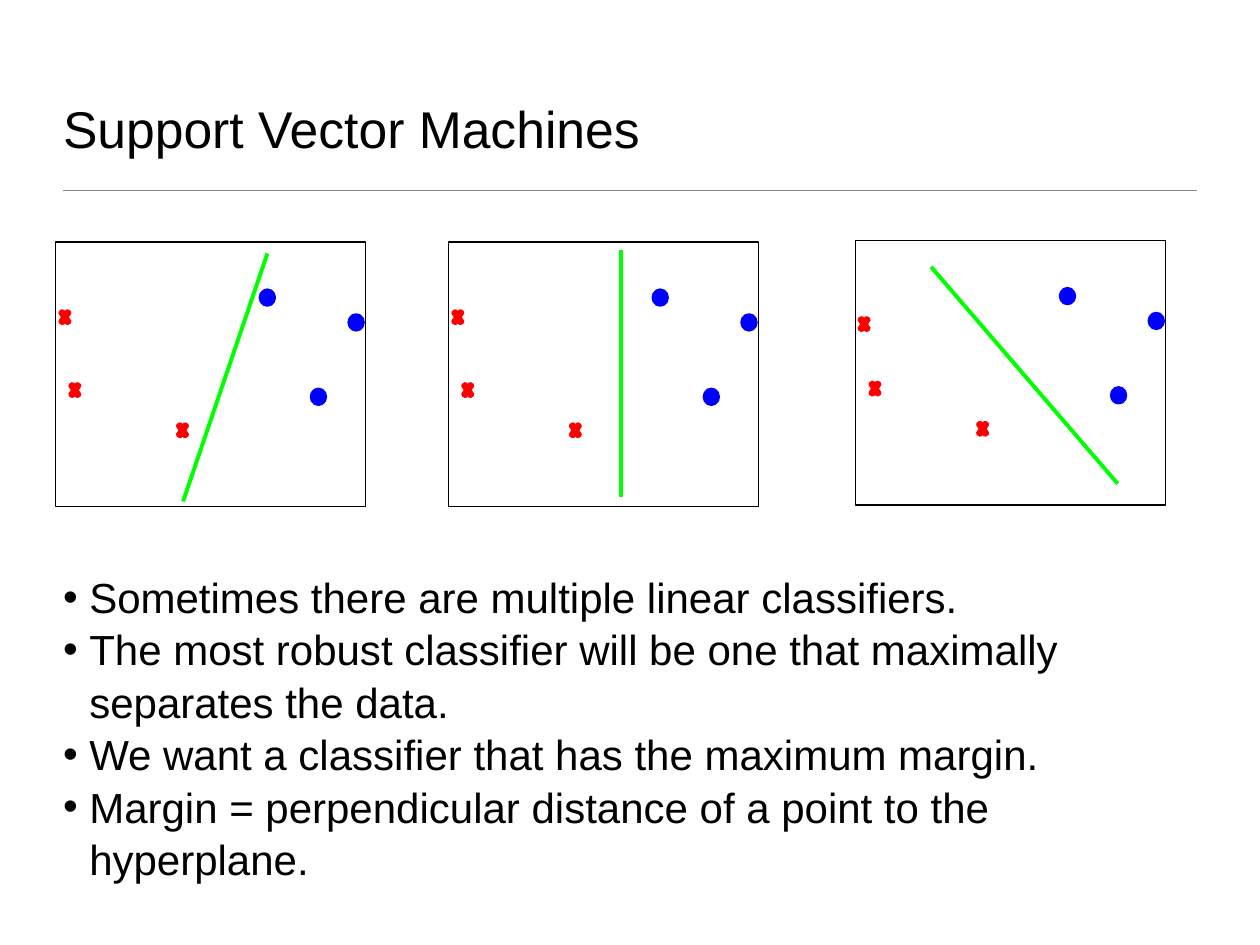
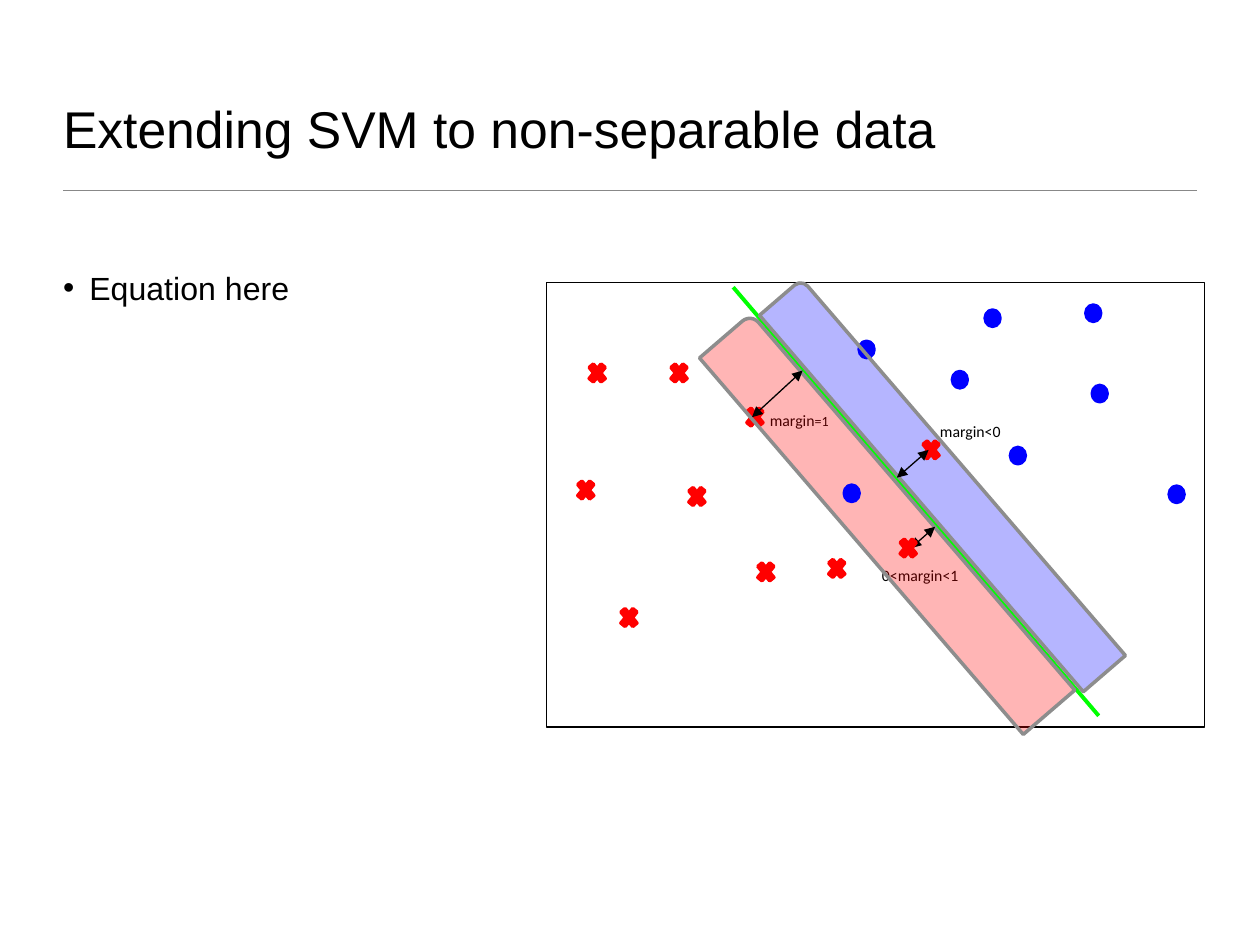
from lxml import etree
from pptx import Presentation
from pptx.dml.color import RGBColor
from pptx.enum.shapes import MSO_CONNECTOR, MSO_SHAPE
from pptx.enum.text import MSO_ANCHOR, MSO_AUTO_SIZE, PP_ALIGN
from pptx.oxml.ns import qn
from pptx.util import Cm, Pt

RECT, DOT = MSO_SHAPE.RECTANGLE, MSO_SHAPE.OVAL
CROSS, BAND = MSO_SHAPE.MATH_MULTIPLY, MSO_SHAPE.ROUND_1_RECTANGLE
STRAIGHT = MSO_CONNECTOR.STRAIGHT
TOP, BOTTOM = MSO_ANCHOR.TOP, MSO_ANCHOR.BOTTOM
LEFT, FIXED = PP_ALIGN.LEFT, MSO_AUTO_SIZE.NONE

BLACK, WHITE, GREY, EDGE = "000000", "FFFFFF", "888888", "8D8D8D"
RED, BLUE, GREEN = "FF0000", "0000FF", "00FF00"
INSET = Cm(0.15)
INDENT = Cm(0.53)


def draw(shapes, kind, box, fill=None, line=None, width=2):
    """Add a preset shape; box is left, top, width, height in cm."""
    shape = shapes.add_shape(kind, *map(Cm, box))
    shape.shadow.inherit = False
    if fill:
        shape.fill.solid()
        shape.fill.fore_color.rgb = RGBColor.from_string(fill)
    else:
        shape.fill.background()
    if line:
        shape.line.color.rgb = RGBColor.from_string(line)
        shape.line.width = Pt(width)
    else:
        shape.line.fill.background()
    return shape


def link(shapes, ends, color, width, arrows=False):
    """Add a straight line; ends is x1, y1, x2, y2 in cm."""
    line = shapes.add_connector(STRAIGHT, *map(Cm, ends))
    line.line.color.rgb = RGBColor.from_string(color)
    line.line.width = Pt(width)
    props = line.element.spPr
    if arrows:
        for end in ("a:headEnd", "a:tailEnd"):
            etree.SubElement(props.find(qn("a:ln")), qn(end), type="triangle")
    etree.SubElement(props, qn("a:effectLst"))
    return line


prs = Presentation()
prs.slide_width, prs.slide_height = Cm(25.4), Cm(19.05)

# Shared layout: title place and the rule below it
layout = prs.slide_layouts[1]
title = layout.placeholders[0]
title.left, title.top = Cm(1.12), Cm(0.64)
title.width, title.height = Cm(23.16), Cm(2.72)
title.text_frame.vertical_anchor = BOTTOM

# Titles and lists
pages = [
    ("Support Vector Machines", (1.12, 11.33, 23.16, 6.02), 24, [
        "Sometimes there are multiple linear classifiers.",
        "The most robust classifier will be one that maximally separates the data.",
        "We want a classifier that has the maximum margin.",
        "Margin = perpendicular distance of a point to the hyperplane.",
    ]),
    ("Extending SVM to non-separable data", (1.12, 5.23, 9.35, 12.12), 18.3,
     ["Equation here"]),
]
slides = []
for heading, box, size, items in pages:
    slide = prs.slides.add_slide(layout)
    slides.append(slide)
    title, body = slide.placeholders
    body.left, body.top, body.width, body.height = map(Cm, box)
    for holder in (title, body):
        frame = holder.text_frame
        frame.auto_size = FIXED
        frame.margin_left = frame.margin_right = INSET
        frame.margin_top = frame.margin_bottom = INSET

    para = title.text_frame.paragraphs[0]
    para.alignment = LEFT
    run = para.add_run()
    run.text = heading
    run.font.name, run.font.size = "Arial", Pt(29.5)

    frame = body.text_frame
    for i, item in enumerate(items):
        para = frame.add_paragraph() if i else frame.paragraphs[0]
        para.line_spacing = 1.04
        para.space_before = Pt(0)
        props = para._p.get_or_add_pPr()
        props.set("marL", str(INDENT))
        props.set("indent", str(-INDENT))
        etree.SubElement(props, qn("a:buFont"), typeface="Arial")
        etree.SubElement(props, qn("a:buChar"), char="•")
        run = para.add_run()
        run.text = item
        run.font.name, run.font.size = "Arial", Pt(size)

rule = link(slides[0].shapes, (1.27, 3.84, 24.13, 3.84), GREY, 1)
layout.element.cSld.spTree.append(rule.element)

# Slide 1: three ways to part the same points, placed from each panel's corner
dots = [(4.13, 0.97), (5.16, 2.97), (5.92, 1.47)]
panels = [
    (1.12, 4.88, (0.05, 1.3), (4.27, 0.23, 2.57, 5.23)),
    (9.04, 4.88, (0.05, 1.3), (3.48, 0.15, 3.48, 5.13)),
    (17.25, 4.85, (0.03, 1.47), (1.52, 0.53, 5.28, 4.9)),
]
for left, top, high, (x1, y1, x2, y2) in panels:
    shapes = slides[0].shapes.add_group_shape().shapes
    draw(shapes, RECT, (left, top, 6.25, 5.33), line=BLACK, width=0.75)
    for x, y in [(0.25, 2.77), high, (2.42, 3.58)]:
        draw(shapes, CROSS, (left + x, top + y, 0.28, 0.43), RED, RED)
    for x, y in dots:
        draw(shapes, DOT, (left + x, top + y, 0.28, 0.3), BLUE, BLUE)
    link(shapes, (left + x1, top + y1, left + x2, top + y2), GREEN, 2.25)

# Slide 2: soft margin on both sides of the separator
shapes = slides[1].shapes.add_group_shape().shapes
draw(shapes, RECT, (11.02, 5.69, 13.26, 8.97), line=BLACK, width=0.75)

labels = [
    ((18.95, 8.48, 1.52, 0.64), [("margin<0", 9)]),
    ((17.78, 11.38, 1.73, 0.64), [("0<margin<1", 9)]),
    ((15.52, 8.26, 1.27, 0.58), [("margin", 9), ("=1", 8)]),
]
for box, parts in labels:
    frame = draw(shapes, RECT, box, WHITE).text_frame
    frame.word_wrap = True
    frame.vertical_anchor = TOP
    frame.margin_left = frame.margin_right = 0
    frame.margin_top = frame.margin_bottom = 0
    para = frame.paragraphs[0]
    para.alignment = LEFT
    para.line_spacing = 1.06
    para.space_after = Pt(8)
    for text, size in parts:
        run = para.add_run()
        run.text = text
        run.font.name, run.font.size = "Calibri", Pt(size)
        run.font.color.rgb = RGBColor.from_string(BLACK)

link(shapes, (14.78, 5.79, 22.15, 14.43), GREEN, 2.25)

outer = [(11.81, 7.24), (14.99, 8.13), (13.82, 9.73), (15.21, 11.25),
         (13.46, 7.24), (16.64, 11.18), (11.58, 9.6), (12.45, 12.17)]
inner = [(18.08, 10.77), (18.54, 8.79)]
dots = [(17.32, 6.88), (19.2, 7.49), (20.37, 9.02), (19.86, 6.25),
        (22.02, 7.77), (23.57, 9.8), (21.89, 6.15)]
for x, y in outer:
    draw(shapes, CROSS, (x, y, 0.46, 0.56), RED, RED)
for x, y in dots:
    draw(shapes, DOT, (x, y, 0.3, 0.33), BLUE, BLUE)

for box, color in [((17.2, 5.56, 1.37, 10.01), RED),
                   ((18.44, 4.78, 1.12, 10.01), BLUE)]:
    band = draw(shapes, BAND, box, color, EDGE)
    band.rotation = 319.3
    tint = band.element.spPr.find(qn("a:solidFill")).find(qn("a:srgbClr"))
    etree.SubElement(tint, qn("a:alpha"), val="29000")

for ends in [(15.16, 8.41, 16.18, 7.47), (18.36, 11.05, 18.85, 10.62)]:
    link(shapes, ends, BLACK, 0.75, arrows=True)
for x, y in inner:
    draw(shapes, CROSS, (x, y, 0.46, 0.56), RED, RED)
link(shapes, (18.08, 9.63, 18.72, 9.07), BLACK, 0.75, arrows=True)
draw(slides[1].shapes, DOT, (17.02, 9.78, 0.3, 0.33), BLUE, BLUE)

prs.save("out.pptx")
